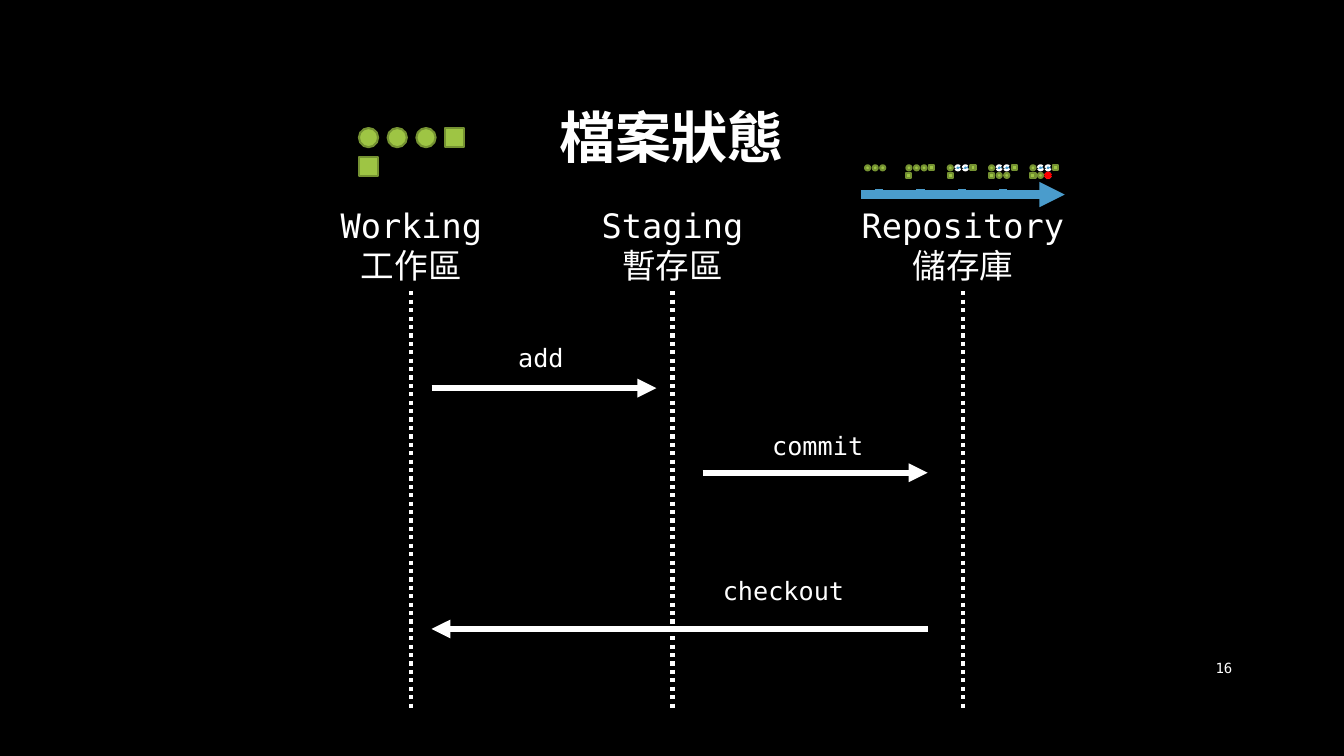
from lxml.etree import SubElement
from pptx import Presentation
from pptx.dml.color import RGBColor
from pptx.enum.dml import MSO_LINE
from pptx.enum.shapes import MSO_CONNECTOR, MSO_SHAPE
from pptx.enum.text import MSO_ANCHOR, PP_ALIGN
from pptx.oxml.ns import qn
from pptx.util import Inches, Pt

BLACK = RGBColor(0x00, 0x00, 0x00)
WHITE = RGBColor(0xFF, 0xFF, 0xFF)
GREEN = RGBColor(0x9E, 0xC5, 0x44)
OLIVE = RGBColor(0x75, 0x92, 0x32)
BLUE = RGBColor(0x4A, 0x9C, 0xCC)
RED = RGBColor(0xFF, 0x00, 0x00)
FONT = "DejaVu Sans Mono"

TITLE = "檔案狀態"
PAGE = "16"
AREAS = [
    ("Working\n工作區", 4.08, 1.61),
    ("Staging\n暫存區", 6.67, 1.61),
    ("Repository\n儲存庫", 9.55, 2.22),
]
COMMANDS = [
    ("add", (5.04, 3.35, 0.65, 0.4), 4.28, 6.51, 3.85),
    ("commit", (7.56, 4.22, 1.11, 0.4), 6.97, 9.2, 4.69),
    ("checkout", (7.07, 5.66, 1.41, 0.4), 9.2, 4.28, 6.24),
]
ADDED, CHANGED, SQUARE, DELETED = "added", "changed", "square", "deleted"
WORKING_FILES = [[ADDED, ADDED, ADDED, SQUARE], [SQUARE]]
COMMITS = [
    [[ADDED, ADDED, ADDED]],
    WORKING_FILES,
    [[ADDED, CHANGED, CHANGED, SQUARE], [SQUARE]],
    [[ADDED, CHANGED, CHANGED, SQUARE], [SQUARE, ADDED, ADDED]],
    [[ADDED, CHANGED, CHANGED, SQUARE], [SQUARE, ADDED, DELETED]],
]
LIFELINE_TOP, LIFELINE_BOTTOM = 2.89, 7.04
HISTORY_Y, HISTORY_START, HISTORY_END = 1.93, 8.54, 10.56
COMMIT_LEFT, COMMIT_TOP, COMMIT_STEP = 8.58, 1.64, 0.41


def write(frame, text, size, align=PP_ALIGN.LEFT, anchor=MSO_ANCHOR.TOP,
          bold=False, wrap=False, spacing=None):
    frame.word_wrap = wrap
    frame.vertical_anchor = anchor
    paragraph = frame.paragraphs[0]
    paragraph.text = text.replace("\n", "\v")
    paragraph.alignment = align
    paragraph.line_spacing = spacing
    for run in paragraph.runs:
        run.font.name = FONT
        run.font.size = Pt(size)
        run.font.bold = bold
        run.font.color.rgb = WHITE


def add_label(slide, text, box, size, **style):
    label = slide.shapes.add_textbox(*map(Inches, box))
    write(label.text_frame, text, size, **style)


def add_line(shapes, start, end, color, width, dash=None, arrow=False):
    line = shapes.add_connector(MSO_CONNECTOR.STRAIGHT, *map(Inches, start + end))
    line.line.color.rgb = color
    line.line.width = Pt(width)
    if dash:
        line.line.dash_style = dash
    if arrow:
        SubElement(line.line._get_or_add_ln(), qn("a:tailEnd"), type="triangle")
    SubElement(line._element.spPr, qn("a:effectLst"))


def add_file(shapes, state, left, top, size):
    outline = MSO_SHAPE.RECTANGLE if state == SQUARE else MSO_SHAPE.OVAL
    mark = shapes.add_shape(outline, *map(Inches, (left, top, size, size)))
    mark.shadow.inherit = False
    edited = state in (CHANGED, DELETED)
    mark.fill.solid()
    mark.fill.fore_color.rgb = BLUE if edited else GREEN
    mark.line.color.rgb = WHITE if edited else OLIVE
    mark.line.width = Pt(1.5)
    if edited:
        mark.line.dash_style = MSO_LINE.SQUARE_DOT
    if state == DELETED:
        solid = mark._element.spPr.find(qn("a:solidFill"))
        SubElement(solid[0], qn("a:alpha"), val="70000")
        right, bottom = left + size, top + size
        add_line(shapes, (left, top), (right, bottom), RED, 3)
        add_line(shapes, (right, top), (left, bottom), RED, 3)


def add_files(shapes, rows, left, top, size, pitch):
    for row, states in enumerate(rows):
        for column, state in enumerate(states):
            add_file(shapes, state, left + column * pitch, top + row * pitch, size)


def main():
    deck = Presentation()
    deck.slide_width, deck.slide_height = Inches(13.33), Inches(7.5)
    slide = deck.slides.add_slide(deck.slide_layouts[5])
    slide.background.fill.solid()
    slide.background.fill.fore_color.rgb = BLACK

    title = slide.shapes.title
    title.left, title.top = Inches(1), Inches(0.67)
    title.width, title.height = Inches(11.32), Inches(1.45)
    write(title.text_frame, TITLE, 40, align=PP_ALIGN.CENTER,
          anchor=MSO_ANCHOR.MIDDLE, bold=True, wrap=True, spacing=0.9)

    for name, center, width in AREAS:
        add_label(slide, name, (center - width / 2, 1.98, width, 0.91), 24,
                  align=PP_ALIGN.CENTER)
        add_line(slide.shapes, (center, LIFELINE_TOP), (center, LIFELINE_BOTTOM),
                 WHITE, 3, dash=MSO_LINE.ROUND_DOT)

    for command, box, start, end, y in COMMANDS:
        add_line(slide.shapes, (start, y), (end, y), WHITE, 4.5, arrow=True)
        add_label(slide, command, box, 18)

    add_label(slide, PAGE, (11.5, 6.43, 0.82, 0.4), 10, align=PP_ALIGN.RIGHT,
              anchor=MSO_ANCHOR.MIDDLE, wrap=True)

    history = slide.shapes.add_group_shape().shapes
    add_line(history, (HISTORY_START, HISTORY_Y), (HISTORY_END, HISTORY_Y),
             BLUE, 6, arrow=True)
    for index, files in enumerate(COMMITS):
        left = COMMIT_LEFT + index * COMMIT_STEP
        tick = left + 0.14
        add_line(history, (tick, HISTORY_Y), (tick, HISTORY_Y - 0.05), BLUE, 6)
        add_files(history, files, left, COMMIT_TOP, 0.05, 0.075)

    working = slide.shapes.add_group_shape().shapes
    add_files(working, WORKING_FILES, 3.56, 1.27, 0.19, 0.285)

    deck.save("out.pptx")


if __name__ == "__main__":
    main()
